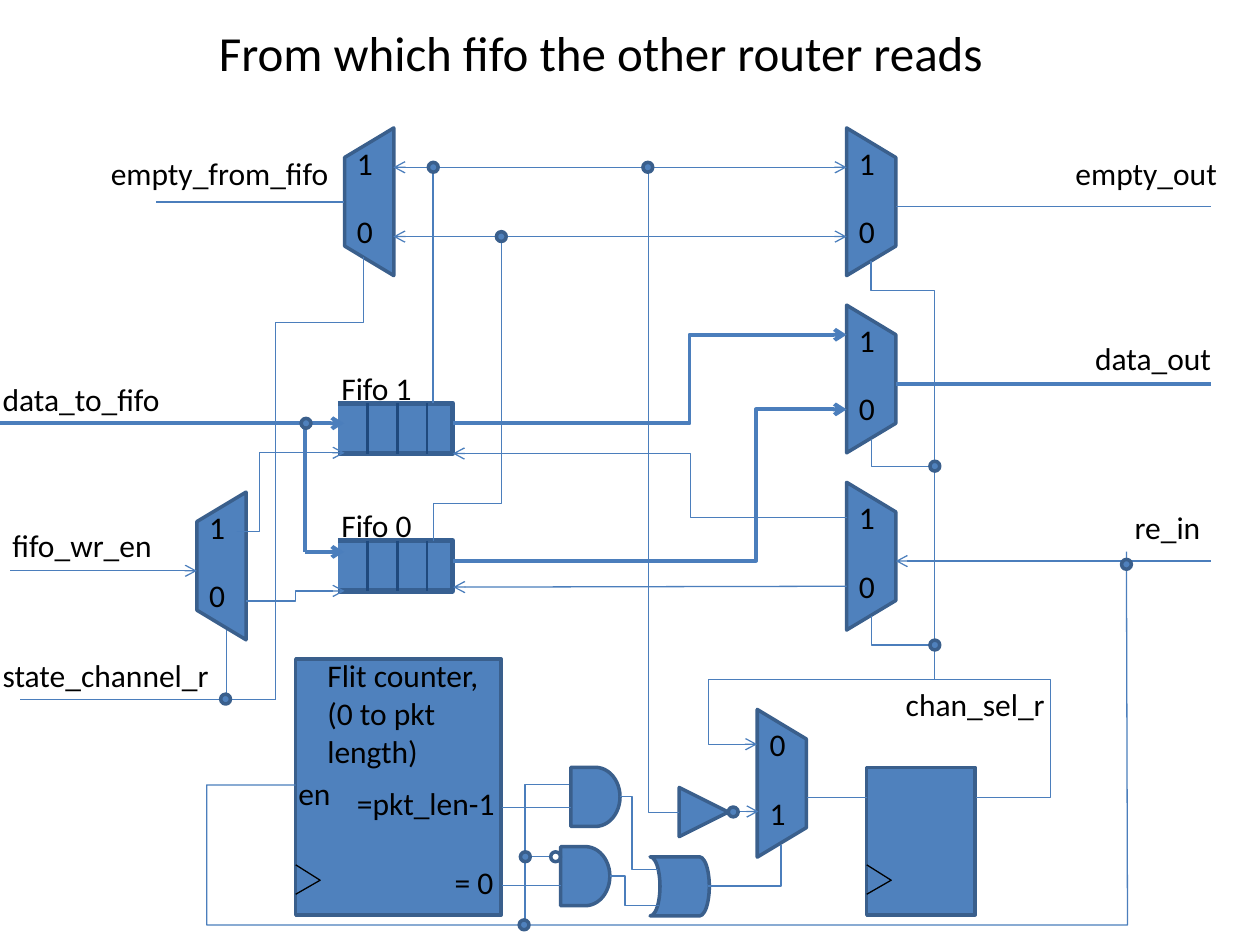
from dataclasses import dataclass

from lxml.etree import SubElement
from pptx import Presentation
from pptx.dml.color import RGBColor
from pptx.enum.shapes import MSO_CONNECTOR as Link, MSO_SHAPE as Preset
from pptx.enum.text import MSO_AUTO_SIZE as AutoSize, PP_ALIGN as Align
from pptx.oxml.ns import qn
from pptx.util import Pt


@dataclass(frozen=True)
class Theme:
    font: str = "Calibri"
    title: float = 28
    body: float = 18
    ink: str = "000000"
    fill: str = "4F81BD"
    edge: str = "3A5F8C"
    fifo_edge: str = "376092"
    divider: str = "1F497D"
    wire: str = "4B7EBC"
    thin: float = 0.75
    bold: float = 2.25
    outline: float = 2


theme = Theme()

# Content, in points: labels are (text, left, top, width, size)
LABELS = [
    ("From which fifo the other router reads", 118, 9.4, 466.6, theme.title),
    ("Fifo 1", 188, 207.4, 67.7, theme.body),
    ("Fifo 0", 188, 285.8, 67.7, theme.body),
    ("chan_sel_r", 510.5, 388.1, 95.8, theme.body),
    ("empty_from_fifo", 56.2, 84.4, 151.9, theme.body),
    ("empty_out", 607.5, 84.4, 95.8, theme.body),
    ("data_out", 618.7, 190, 84.2, theme.body),
    ("re_in", 641.3, 286.8, 56.2, theme.body),
    ("Flit counter,\n(0 to pkt\nlength)", 180, 371.3, 118.1, theme.body),
    ("en", 163.4, 438.8, 39.6, theme.body),
    ("= 0", 252.7, 489.6, 39.6, theme.body),
    ("=pkt_len-1", 196.9, 444.4, 95.8, theme.body),
    ("state_channel_r", -5.6, 371.3, 140.4, theme.body),
    ("data_to_fifo", -5.6, 213.8, 106.6, theme.body),
    ("fifo_wr_en", 0, 297.2, 101.5, theme.body),
]

# Multiplexers: (left, top, rotation, upper digit, lower digit)
MUX_WIDTH, MUX_HEIGHT = 28.1, 84.4
MUXES = [(483.8, 73.1 + 101.25 * row, 270, "1", "0") for row in range(3)] + [
    (432.7, 405.4, 270, "0", "1"),
    (196.9, 73.1, 90, "1", "0"),
    (112.5, 281.2, 90, "1", "0"),
]

FIFO_LEFT, FIFO_WIDTH, FIFO_HEIGHT, FIFO_CELL = 193, 65.5, 28.8, 17
FIFO_TOPS = [230.4, 308.9]

# Clocked blocks and gates: (left, top, width, height)
CLOCKED = [(169, 376.6, 117.4, 146.2), (495.3, 438.5, 61.9, 84.3)]
GATES = [
    (Preset.FLOWCHART_STORED_DATA, 371.5, 489.6, 33.8, 33.8, 180),
    (Preset.FLOWCHART_DELAY, 326.2, 438.5, 28.1, 33.8, 0),
    (Preset.FLOWCHART_DELAY, 320.4, 483.8, 28.1, 33.8, 0),
    (Preset.ISOSCELES_TRIANGLE, 388.1, 450, 28.1, 28.1, 90),
]

# Wires: (corner points, arrow ends, weight)
WIRES = [
    ([(691.9, 219.4), (511.9, 219.4)], "", theme.bold),
    ([(691.9, 118.1), (511.9, 118.1)], "", theme.thin),
    ([(497.8, 149), (497.8, 166), (534.2, 166), (534.2, 388)], "", theme.thin),
    ([(558, 455.6), (600.5, 455.6), (600.5, 388.3), (404.8, 388.3),
      (404.8, 425.3), (432.7, 425.3)], "tail", theme.thin),
    ([(495.3, 455.6), (461.3, 455.6)], "", theme.thin),
    ([(643.7, 315.2), (644.3, 528.6), (118.1, 528.6), (118.1, 448.6), (169, 448.6)],
     "", theme.thin),
    ([(247.5, 230.4), (247.5, 95.6)], "", theme.thin),
    ([(247.5, 309.4), (247.5, 288), (286.7, 288), (286.7, 135)], "", theme.thin),
    ([(483.8, 295.7), (394.6, 295.7), (394.6, 259.2), (258.8, 259.2)], "tail", theme.thin),
    ([(483.8, 335), (259, 335.5)], "tail", theme.thin),
    ([(691.9, 320.6), (511.9, 320.6)], "tail", theme.thin),
    ([(498.2, 250.6), (498.2, 266.6), (533.5, 266.6)], "", theme.thin),
    ([(498.2, 352.1), (498.2, 368.6), (533.5, 368.6)], "", theme.thin),
    ([(196.6, 115.4), (88.9, 115.4)], "", theme.thin),
    ([(404.8, 506.2), (446.3, 506.2), (446.3, 482.6)], "", theme.thin),
    ([(370.6, 95.4), (370.6, 464.1), (388.1, 464.1)], "", theme.thin),
    ([(421.9, 463.7), (433.4, 463.7)], "tail", theme.thin),
    ([(0, 241.9), (196.6, 241.9)], "tail", theme.bold),
    ([(157.5, 399.6), (11.5, 399.6)], "", theme.thin),
    ([(129.4, 399.6), (129.4, 360)], "", theme.thin),
    ([(157.5, 400), (157.5, 184.3), (207.7, 184.3), (207.7, 147)], "", theme.thin),
    ([(483.8, 95.6), (224.8, 95.6)], "head tail", theme.thin),
    ([(483.8, 135.2), (224.8, 135.2)], "head tail", theme.thin),
    ([(258.8, 241.9), (394, 241.9), (394, 191.3), (483.8, 191.3)], "tail", theme.bold),
    ([(258.8, 320.4), (432, 320.4), (432, 234), (483.8, 234)], "tail", theme.bold),
    ([(326.2, 461.3), (286.6, 461.3)], "", theme.thin),
    ([(320.4, 506.2), (286.6, 506.2)], "", theme.thin),
    ([(354.3, 455.2), (361.2, 455.2), (361.2, 497), (375.8, 497)], "", theme.thin),
    ([(376.6, 517.6), (357.1, 517.6), (357.1, 500.6), (348.5, 500.6)], "", theme.thin),
    ([(325.4, 448.4), (300, 448.4), (300, 528.6)], "", theme.thin),
    ([(299.5, 489.6), (314.6, 489.6)], "", theme.thin),
    ([(174.2, 241.9), (174.2, 315.4)], "", theme.bold),
    ([(174.2, 315.4), (196.6, 315.4)], "tail", theme.bold),
    ([(5.8, 326.2), (112.5, 326.2)], "tail", theme.thin),
    ([(135.4, 303.8), (148.5, 303.8), (148.5, 258.8), (196.9, 258.8)], "tail", theme.thin),
    ([(140.6, 343.4), (168.7, 343.4), (168.7, 337.7), (196.9, 337.7)], "tail", theme.thin),
]

# Junction dots by centre; the open one is an inverting input
DOT = 5.6
DOTS = [(643.7, 322.5), (128.9, 399.5), (286.5, 135.2), (534.2, 266.4), (534.2, 368.6),
        (370.2, 95.6), (247.6, 95.6), (300.2, 489.6), (299.5, 528.5), (174.9, 241.9),
        (419, 464)]
OPEN_DOT = (317.5, 489.6)


def paint(shape, fill, edge, weight):
    if fill:
        shape.fill.solid()
        shape.fill.fore_color.rgb = RGBColor.from_string(fill)
    else:
        shape.fill.background()
    shape.shadow.inherit = False
    ink(shape, edge, weight)


def ink(shape, color, weight, ends=""):
    shape.line.color.rgb = RGBColor.from_string(color)
    shape.line.width = Pt(weight)
    outline = shape._element.spPr.find(qn("a:ln"))
    for end in ends.split():
        SubElement(outline, qn(f"a:{end}End"), type="arrow")


def add_block(shapes, preset, left, top, width, height, rotation=0, fill=theme.fill):
    shape = shapes.add_shape(preset, Pt(left), Pt(top), Pt(width), Pt(height))
    shape.rotation = rotation
    paint(shape, fill, theme.edge, theme.outline)


def add_dot(shapes, x, y, fill=theme.fill):
    add_block(shapes, Preset.OVAL, x - DOT / 2, y - DOT / 2, DOT, DOT, fill=fill)


def add_path(shapes, points, fill, edge, weight):
    corners = [(Pt(x), Pt(y)) for x, y in points]
    builder = shapes.build_freeform(*corners[0], scale=1.0)
    builder.add_line_segments(corners[1:], close=False)
    shape = builder.convert_to_shape()
    paint(shape, fill, edge, weight)
    return shape


def add_link(shapes, kind, start, end, color, weight):
    link = shapes.add_connector(kind, *(Pt(value) for value in (*start, *end)))
    ink(link, color, weight)
    SubElement(link._element.spPr, qn("a:effectLst"))
    return link


def add_elbow(shapes, points, weight):
    (x1, y1), (bend_x, bend_y), _, (x2, y2) = points
    dx, dy = x2 - x1, y2 - y1
    if y1 == bend_y:
        link = add_link(shapes, Link.ELBOW, points[0], points[-1], theme.wire, weight)
        bend = (bend_x - x1) / dx
    else:
        # A vertical start is a horizontal elbow turned a quarter round its centre
        left, top = (x1 + x2 - abs(dy)) / 2, (y1 + y2 - abs(dx)) / 2
        link = add_link(shapes, Link.ELBOW, (left, top), (left + abs(dy), top + abs(dx)),
                        theme.wire, weight)
        frame = link._element.spPr.find(qn("a:xfrm"))
        frame.set("rot", str(90 * 60000))
        frame.set("flipH", str(int(dy < 0)))
        frame.set("flipV", str(int(dx > 0)))
        bend = (bend_y - y1) / dy
    guides = link._element.spPr.find(qn("a:prstGeom")).find(qn("a:avLst"))
    SubElement(guides, qn("a:gd"), name="adj1", fmla=f"val {round(bend * 100000)}")
    return link


def add_wire(shapes, points, ends, weight):
    if len(points) == 2:
        wire = add_link(shapes, Link.STRAIGHT, *points, theme.wire, weight)
    elif len(points) == 4:
        wire = add_elbow(shapes, points, weight)
    else:
        wire = add_path(shapes, points, None, theme.wire, weight)
    ink(wire, theme.wire, weight, ends)


def add_label(shapes, text, left, top, width, size=theme.body):
    lines = text.split("\n")
    box = shapes.add_textbox(Pt(left), Pt(top), Pt(width), Pt(7.2 + 1.2 * size * len(lines)))
    frame = box.text_frame
    frame.word_wrap = True
    frame.auto_size = AutoSize.SHAPE_TO_FIT_TEXT
    for number, line in enumerate(lines):
        paragraph = frame.add_paragraph() if number else frame.paragraphs[0]
        paragraph.alignment = Align.LEFT
        run = paragraph.add_run()
        run.text = line
        run.font.name, run.font.size = theme.font, Pt(size)
        run.font.color.rgb = RGBColor.from_string(theme.ink)


presentation = Presentation()
presentation.slide_width, presentation.slide_height = Pt(720), Pt(540)
slide = presentation.slides.add_slide(presentation.slide_layouts[6])
shapes = slide.shapes

# Fifos, open on the input side
for top in FIFO_TOPS:
    fifo = shapes.add_group_shape().shapes
    right, bottom = FIFO_LEFT + FIFO_WIDTH, top + FIFO_HEIGHT
    add_path(fifo, [(FIFO_LEFT, top), (right, top), (right, bottom), (FIFO_LEFT, bottom)],
             theme.fill, theme.fifo_edge, 3)
    for cell in (1, 2, 3):
        x = FIFO_LEFT + cell * FIFO_CELL
        add_link(fifo, Link.STRAIGHT, (x, top), (x, bottom), theme.divider, 1.5)

# Multiplexers with their digits
for left, top, rotation, upper, lower in MUXES:
    mux = shapes.add_group_shape().shapes
    inset = (MUX_HEIGHT - MUX_WIDTH) / 2
    add_block(mux, Preset.FLOWCHART_MANUAL_OPERATION, left - inset, top + inset,
              MUX_HEIGHT, MUX_WIDTH, rotation)
    for digit, drop in ((upper, 5.4), (lower, 44.6)):
        add_label(mux, digit, left, top + drop, 16.9)

# Counter and register with clock marks, then gates
for left, top, width, height in CLOCKED:
    block = shapes.add_group_shape().shapes
    add_block(block, Preset.FLOWCHART_PROCESS, left, top, width, height)
    add_path(block, [(left, 494.2), (left + 14, 503), (left, 511)], None, theme.ink, theme.thin)
for gate in GATES:
    add_block(shapes, *gate)

# Wiring, junctions and labels
for wire in WIRES:
    add_wire(shapes, *wire)
for dot in DOTS:
    add_dot(shapes, *dot)
add_dot(shapes, *OPEN_DOT, fill=None)
for label in LABELS:
    add_label(shapes, *label)

presentation.save("out.pptx")
